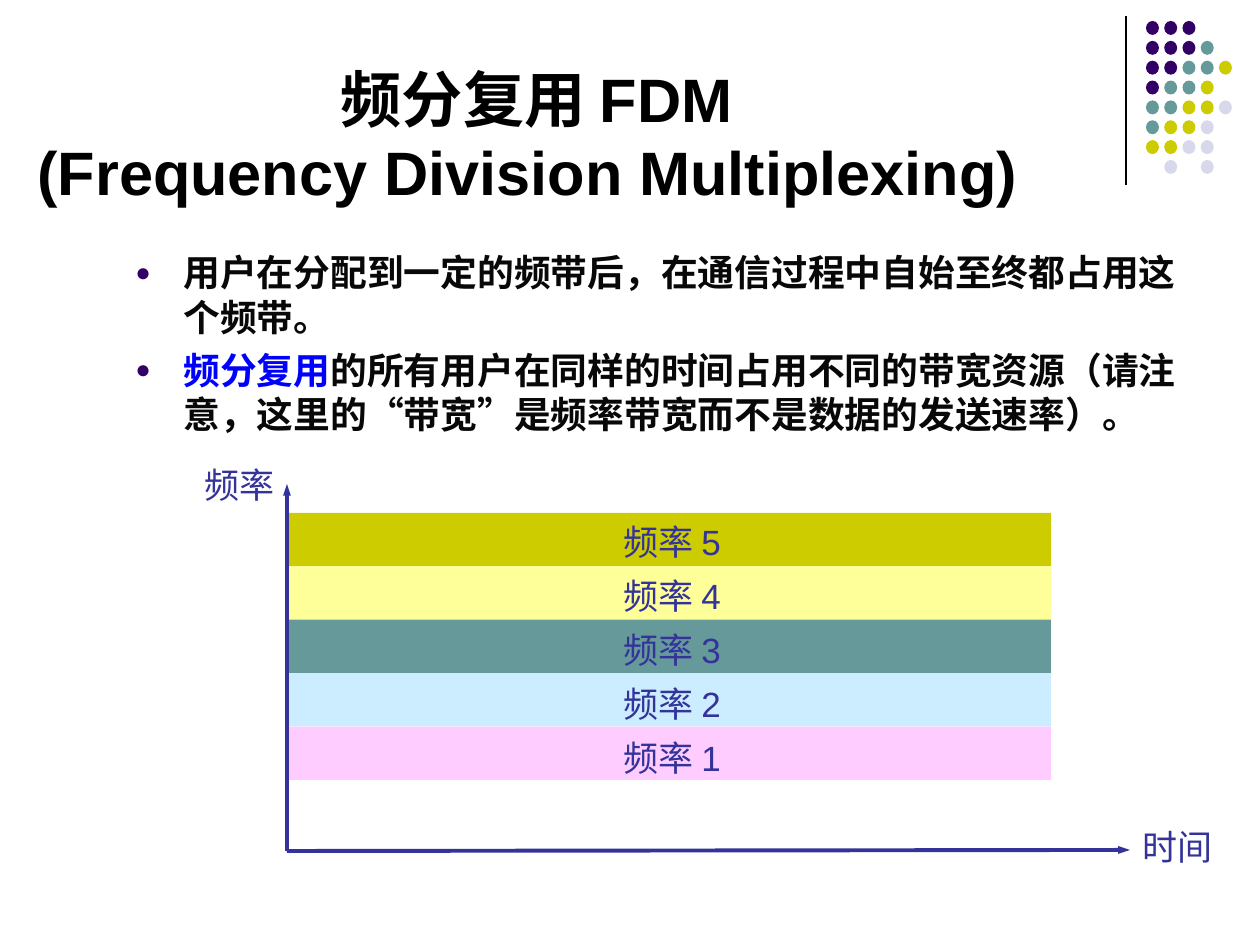
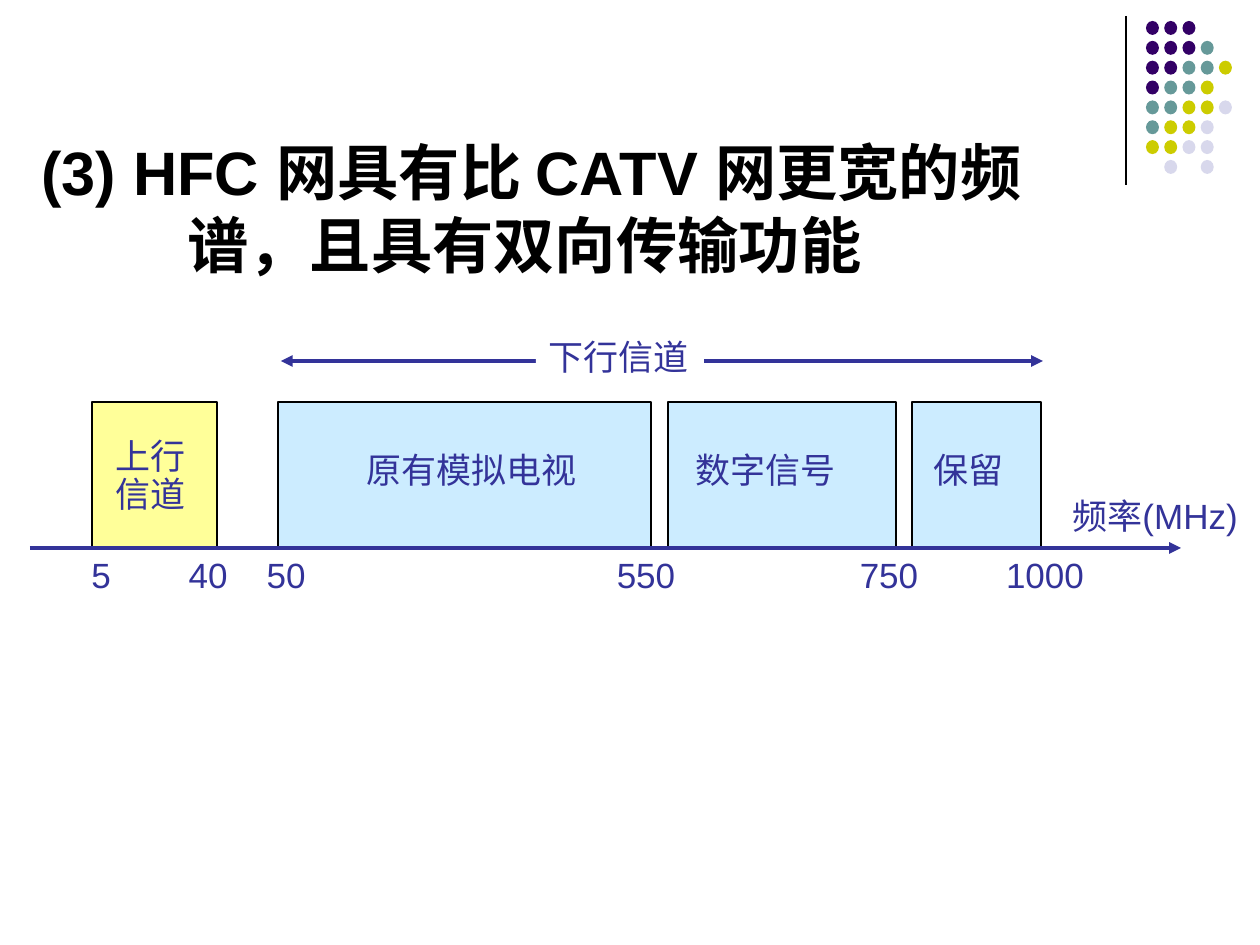
from lxml import etree
from pptx import Presentation
from pptx.dml.color import RGBColor
from pptx.enum.shapes import MSO_CONNECTOR, MSO_SHAPE
from pptx.enum.text import MSO_ANCHOR, MSO_AUTO_SIZE, PP_ALIGN
from pptx.oxml.ns import qn
from pptx.util import Emu, Pt

STRAIGHT = MSO_CONNECTOR.STRAIGHT
RECT, OVAL = MSO_SHAPE.RECTANGLE, MSO_SHAPE.OVAL
TOP, BOTTOM = MSO_ANCHOR.TOP, MSO_ANCHOR.BOTTOM
LEFT, CENTER = PP_ALIGN.LEFT, PP_ALIGN.CENTER
FIT_SHAPE, FIXED = MSO_AUTO_SIZE.SHAPE_TO_FIT_TEXT, MSO_AUTO_SIZE.NONE

COLORS = {
    "black": "000000", "white": "FFFFFF", "body": "080808", "key": "0000FF",
    "ink": "333399", "purple": "330066", "teal": "669999", "olive": "CCCC00",
    "lilac": "D8D8EC", "yellow": "FFFF99", "sky": "CCECFF", "pink": "FFCCFF",
}
SLIDE_W, SLIDE_H = 1260, 945
EMU_PER_PX = 914400 / 126

DOT_COLORS = {"P": "purple", "T": "teal", "Y": "olive", "L": "lilac"}
DOT_ROWS = ["PPP", "PPPT", "PPTTY", "PTTY", "TTYYL", "TYYL", "YYLL", " L L"]

FDM_TITLE = "频分复用 FDM\v(Frequency Division Multiplexing) "
FDM_POINTS = [
    [("用户在分配到一定的频带后，在通信过程中自始至终都占用这个频带。", "body")],
    [("频分复用", "key"),
     ("的所有用户在同样的时间占用不同的带宽资源（请注意，这里的“带宽”是频率带宽而不是数据的发送速率）。", "body")],
]
FDM_BANDS = [("频率 5", "olive"), ("频率 4", "yellow"), ("频率 3", "teal"),
             ("频率 2", "sky"), ("频率 1", "pink")]
FDM_AXIS_LABELS = [("频率", 192, 462), ("时间", 1130, 824)]

HFC_TITLE = "(3) HFC 网具有比 CATV 网更宽的频谱，且具有双向传输功能 "
HFC_CHANNELS = [
    (92, 125, "yellow", ["上行", "信道"], (103, 433, 96, 88), 0.9),
    (278, 373, "sky", ["原有模拟电视"], (354, 442, 238, 55), 1),
    (668, 228, "sky", ["数字信号"], (683, 442, 168, 55), 1),
    (912, 129, "sky", ["保留"], (921, 442, 96, 55), 1),
]
HFC_TICKS = [("5", 101), ("40", 208), ("50", 286),
             ("550", 646), ("750", 889), ("1000", 1045)]


def px(v):
    return Emu(round(v * EMU_PER_PX))


def rgb(name):
    return RGBColor.from_string(COLORS[name])


def add_bullet(p):
    pPr = p._p.get_or_add_pPr()
    pPr.set("marL", str(px(48)))
    pPr.set("indent", str(-px(48)))
    color = etree.SubElement(pPr, qn("a:buClr"))
    etree.SubElement(color, qn("a:srgbClr"), val=COLORS["purple"])
    etree.SubElement(pPr, qn("a:buSzPct"), val="70000")
    etree.SubElement(pPr, qn("a:buFont"), typeface="Arial")
    etree.SubElement(pPr, qn("a:buChar"), char="●")


def add_text(s, box, paragraphs, size=20, color="ink", font="Arial", bold=False,
             align=LEFT, anchor=TOP, wrap=False, spacing=1, before=0,
             bullet=False, fill=None):
    sp = s.shapes.add_textbox(*map(px, box))
    if fill:
        sp.fill.solid()
        sp.fill.fore_color.rgb = rgb(fill)
    tf = sp.text_frame
    tf.word_wrap = wrap
    tf.auto_size = FIXED if wrap else FIT_SHAPE
    tf.vertical_anchor = anchor
    for i, runs in enumerate(paragraphs):
        p = tf.paragraphs[0] if i == 0 else tf.add_paragraph()
        p.alignment = align
        p.line_spacing = spacing
        if i and before:
            p.space_before = Pt(before)
        if bullet:
            add_bullet(p)
        for text, run_color in [(runs, color)] if isinstance(runs, str) else runs:
            for j, part in enumerate(text.split("\v")):
                if j:
                    p.add_line_break()
                r = p.add_run()
                r.text = part
                r.font.size = Pt(size)
                r.font.name = font
                r.font.bold = bold
                r.font.color.rgb = rgb(run_color)


def add_block(s, box, fill, line=None, kind=RECT):
    sp = s.shapes.add_shape(kind, *map(px, box))
    sp.shadow.inherit = False
    sp.fill.solid()
    sp.fill.fore_color.rgb = rgb(fill)
    if line:
        sp.line.color.rgb = rgb(line)
        sp.line.width = Pt(0.75)
    else:
        sp.line.fill.background()


def add_line(s, points, color="ink", width=2.25, ends=(), head_width="med"):
    c = s.shapes.add_connector(STRAIGHT, *map(px, points))
    c.line.color.rgb = rgb(color)
    c.line.width = Pt(width)
    for end in ends:
        etree.SubElement(c.line._get_or_add_ln(), qn(f"a:{end}"),
                         type="triangle", w=head_width, len="med")
    etree.SubElement(c._element.spPr, qn("a:effectLst"))


def new_slide(prs, title, title_box):
    s = prs.slides.add_slide(prs.slide_layouts[6])
    add_line(s, (1126, 16, 1126, 185), color="black", width=0.75)
    for row, codes in enumerate(DOT_ROWS):
        for col, code in enumerate(codes):
            if code in DOT_COLORS:
                box = (1146 + col * 73 / 4, 21 + row * 139 / 7, 13, 14)
                add_block(s, box, DOT_COLORS[code], kind=OVAL)
    add_text(s, title_box, [title], size=35, color="black", bold=True,
             align=CENTER, anchor=BOTTOM, wrap=True)
    return s


def build_fdm(prs):
    s = new_slide(prs, FDM_TITLE, (5, 106, 1063, 108))
    add_text(s, (123, 244, 1091, 248), FDM_POINTS, size=21, bold=True,
             wrap=True, before=5.2, bullet=True)
    add_line(s, (287, 851, 1130, 850), ends=["tailEnd"], head_width="sm")
    for text, x, y in FDM_AXIS_LABELS:
        add_text(s, (x, y, 95, 50), [text], font="Times New Roman", spacing=0.9)
    height = (780 - 513) / len(FDM_BANDS)
    for i, (_, fill) in enumerate(FDM_BANDS):
        add_block(s, (287, 513 + i * height, 764, height), fill)
    for i, (text, _) in enumerate(FDM_BANDS):
        add_text(s, (611, 519 + i * 54, 131, 50), [text], spacing=0.9)
    add_line(s, (287, 851, 287, 484), ends=["tailEnd"], head_width="sm")


def build_hfc(prs):
    s = new_slide(prs, HFC_TITLE, (0, 224, 1063, 63))
    add_line(s, (281, 361, 1043, 361), ends=["headEnd", "tailEnd"])
    add_text(s, (536, 329, 168, 55), ["下行信道"], fill="white")
    for x, width, fill, lines, label_box, spacing in HFC_CHANNELS:
        add_block(s, (x, 402, width, 146), fill, line="black")
        add_text(s, label_box, lines, spacing=spacing)
    for text, center in HFC_TICKS:
        add_text(s, (center - 52, 547, 104, 55), [text], align=CENTER)
    add_text(s, (1060, 488, 199, 55), ["频率(MHz)"])
    add_line(s, (30, 548, 1181, 548), ends=["tailEnd"])


def main():
    prs = Presentation()
    prs.slide_width, prs.slide_height = px(SLIDE_W), px(SLIDE_H)
    build_fdm(prs)
    build_hfc(prs)
    prs.save("out.pptx")


if __name__ == "__main__":
    main()
